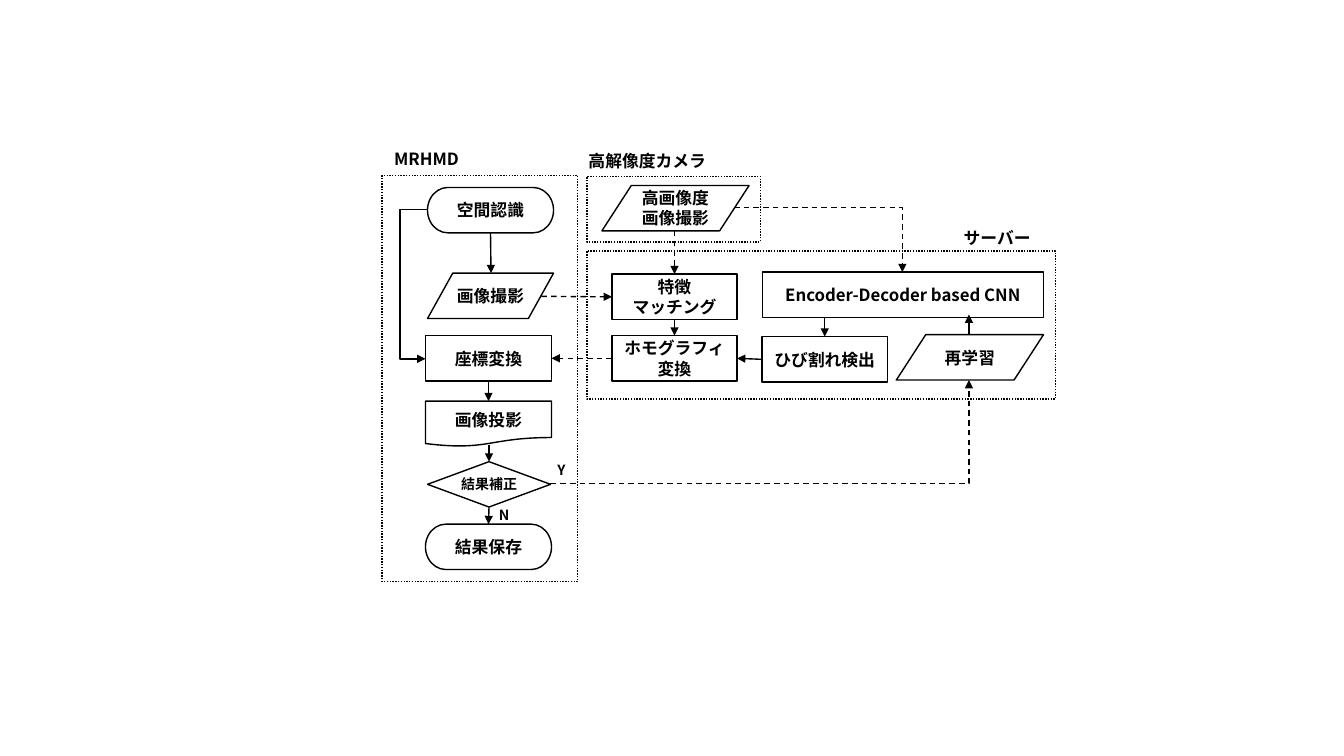
from lxml import etree
from pptx import Presentation
from pptx import util as u
from pptx.dml.color import RGBColor
from pptx.enum import dml, shapes, text
from pptx.oxml.ns import qn

PX = 9144  # 100 px to the inch
SLIDE = (1333, 750)
FONT = "Noto Sans CJK KR"
COLORS = {"ink": "000000"}
TOP, LEFT, BOTTOM, RIGHT = range(4)
KINDS = {
    "process": shapes.MSO_SHAPE.FLOWCHART_PROCESS,
    "ends": shapes.MSO_SHAPE.FLOWCHART_TERMINATOR,
    "data": shapes.MSO_SHAPE.FLOWCHART_DATA,
    "document": shapes.MSO_SHAPE.FLOWCHART_DOCUMENT,
    "decision": shapes.MSO_SHAPE.FLOWCHART_DECISION,
}

# left, top, width, height
FRAMES = [(582, 249, 465, 147), (379, 174, 194, 403), (582, 175, 172, 65)]

# text, point size, left, top, width, height
LABELS = [
    ("サーバー", 12, 944, 221, 90, 29),
    ("MRHMD", 12, 377, 143, 92, 29),
    ("高解像度カメラ", 12, 570, 145, 144, 29),
    ("Y", 10, 543, 452, 26, 29),
    ("N", 10, 485, 496, 26, 29),
]

# name: kind, text, point size, side inset, left, top, width (all are STEP_HEIGHT high)
STEP_HEIGHT = 45
STEPS = {
    "sense": ("ends", "空間認識", 12, 10, 424, 186, 125),
    "shoot": ("data", "画像撮影", 12, 0, 424, 271, 125),
    "coords": ("process", "座標変換", 12, 10, 422, 333, 125),
    "project": ("document", "画像投影", 12, 10, 422, 398, 125),
    "correct": ("decision", "結果補正", 10, 0, 424, 458, 122),
    "save": ("ends", "結果保存", 12, 10, 422, 520, 125),
    "camera": ("data", "高画像度画像撮影", 12, 10, 597, 184, 146),
    "match": ("process", "特徴\nマッチング", 12, 10, 607, 272, 124),
    "homography": ("process", "ホモグラフィ変換", 12, 10, 607, 333, 124),
    "cnn": ("process", "Encoder-Decoder based CNN", 12, 10, 756, 270, 279),
    "cracks": ("process", "ひび割れ検出", 12, 10, 756, 334, 124),
    "retrain": ("data", "再学習", 12, 10, 889, 332, 146),
}

# Each end is (step, side) or a plain (x, y) point; the third entry tells if dashed
ARROWS = [
    (("sense", BOTTOM), (487, 271), False),
    (("coords", BOTTOM), ("project", TOP), False),
    ((485, 441), ("correct", TOP), False),
    (("correct", BOTTOM), ("save", TOP), False),
    (("match", BOTTOM), ("homography", TOP), False),
    (("cracks", LEFT), ("homography", RIGHT), False),
    ((818, 315), ("cracks", TOP), False),
    ((961, 332), (961, 312), False),
    ((537, 294), ("match", LEFT), True),
    (("homography", LEFT), ("coords", RIGHT), True),
    ((669, 229), ("match", TOP), True),
]

# start, end, preset, adjustment, dashed
BENDS = [
    ((424, 208), (422, 356), "bentConnector3", 1350000, False),
    ((546, 480), (961, 377), "bentConnector2", None, True),
    ((728, 206), (895, 270), "bentConnector2", None, True),
]


def scaled(values):
    return [value * PX for value in values]


def style_line(line, dash=None):
    line.color.rgb = RGBColor.from_string(COLORS["ink"])
    line.width = u.Pt(1)
    if dash:
        line.dash_style = dash


def write(shape, words, size, inset, wrap=True):
    frame = shape.text_frame
    margins = {"margin_left": inset * PX, "margin_right": inset * PX}
    for key, value in {**margins, "word_wrap": wrap,
                       "vertical_anchor": text.MSO_ANCHOR.MIDDLE}.items():
        setattr(frame, key, value)
    para = frame.paragraphs[0]
    para.text = words
    para.alignment = text.PP_ALIGN.CENTER
    for span in para.runs:
        for key, value in {"size": u.Pt(size), "bold": True, "name": FONT}.items():
            setattr(span.font, key, value)
        span.font.color.rgb = RGBColor.from_string(COLORS["ink"])
        etree.SubElement(span._r.get_or_add_rPr(), qn("a:ea"), typeface=FONT)
    for line_break in para._p.findall(qn("a:br")):
        etree.SubElement(line_break, qn("a:rPr"), sz=str(size * 100))


def add_box(slide, kind, place, dash=None):
    box = slide.shapes.add_shape(kind, *scaled(place))
    box.shadow.inherit = False
    box.fill.background()
    style_line(box.line, dash)
    return box


def add_arrow(slide, kind, start, end, dashed):
    arrow = slide.shapes.add_connector(kind, *scaled(start + end))
    style_line(arrow.line, dml.MSO_LINE.DASH if dashed else None)
    etree.SubElement(arrow.line._get_or_add_ln(), qn("a:tailEnd"), type="triangle")
    etree.SubElement(arrow._element.spPr, qn("a:effectLst"))
    return arrow


def locate(end):
    """Return the point of an arrow end, on a step's side or as given."""
    if end[0] not in STEPS:
        return end
    left, top, width = STEPS[end[0]][-3:]
    middle, center = left + width // 2, top + STEP_HEIGHT // 2
    return {TOP: (middle, top), LEFT: (left, center),
            BOTTOM: (middle, top + STEP_HEIGHT), RIGHT: (left + width, center)}[end[1]]


def main():
    deck = Presentation()
    deck.slide_width, deck.slide_height = scaled(SLIDE)
    slide = deck.slides.add_slide(deck.slide_layouts[6])

    for place in FRAMES:
        add_box(slide, shapes.MSO_SHAPE.RECTANGLE, place, dml.MSO_LINE.ROUND_DOT)
    for words, size, *place in LABELS:
        write(slide.shapes.add_textbox(*scaled(place)), words, size, 10, wrap=False)

    boxes = {}
    for name, (kind, words, size, inset, *place) in STEPS.items():
        boxes[name] = add_box(slide, KINDS[kind], place + [STEP_HEIGHT])
        write(boxes[name], words, size, inset)

    for start, end, dashed in ARROWS:
        arrow = add_arrow(slide, shapes.MSO_CONNECTOR.STRAIGHT,
                          locate(start), locate(end), dashed)
        for (name, side), connect in ((start, arrow.begin_connect),
                                      (end, arrow.end_connect)):
            if name in boxes:
                connect(boxes[name], side)

    for start, end, preset, adjust, dashed in BENDS:
        bend = add_arrow(slide, shapes.MSO_CONNECTOR.ELBOW, start, end, dashed)
        geometry = bend._element.spPr.find(qn("a:prstGeom"))
        geometry.set("prst", preset)
        if adjust:
            etree.SubElement(geometry.find(qn("a:avLst")), qn("a:gd"),
                             name="adj1", fmla=f"val {adjust}")

    deck.save("out.pptx")


if __name__ == "__main__":
    main()
